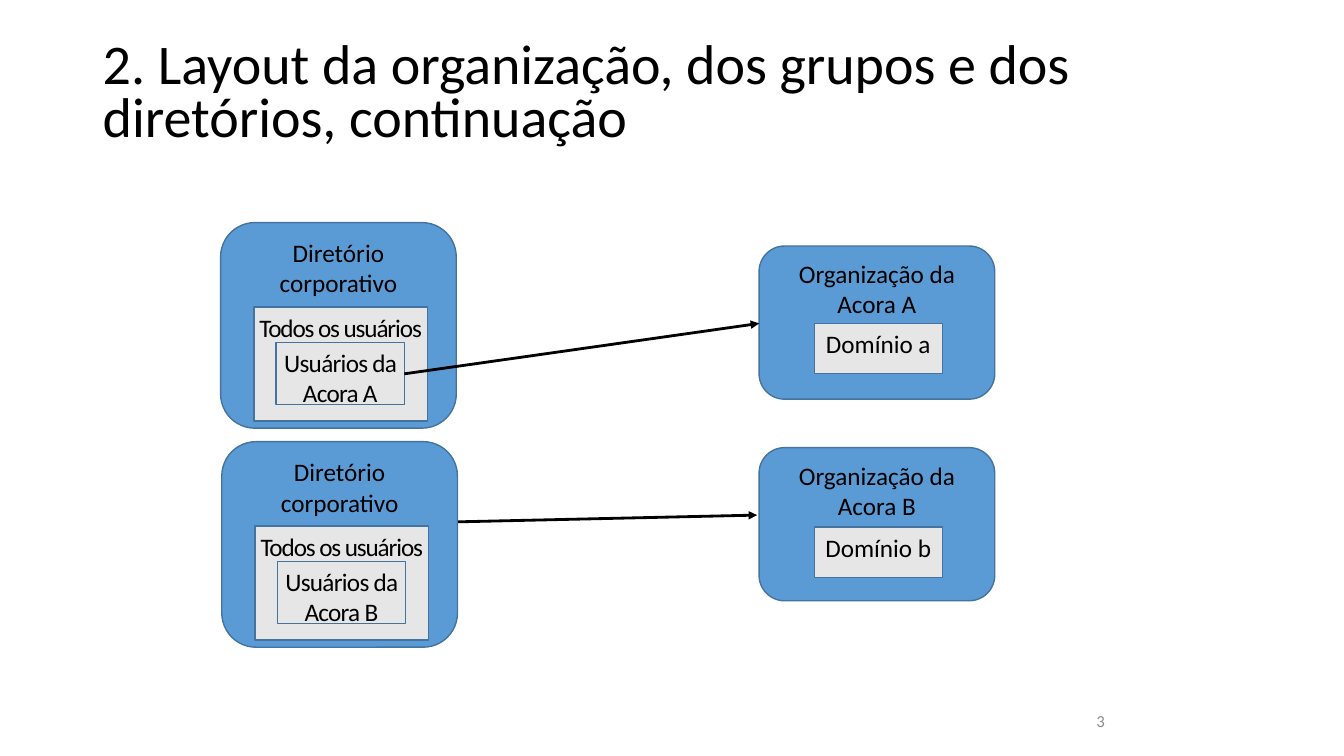
"""Build a slide that links two corporate directories to their organizations."""
from dataclasses import dataclass

from lxml import etree
from pptx import Presentation
from pptx.dml.color import RGBColor
from pptx.enum.shapes import MSO_CONNECTOR, MSO_SHAPE
from pptx.enum.text import MSO_ANCHOR, PP_ALIGN
from pptx.oxml.ns import qn
from pptx.util import Cm, Pt

RECT = MSO_SHAPE.RECTANGLE
ROUNDED = MSO_SHAPE.ROUNDED_RECTANGLE
STRAIGHT = MSO_CONNECTOR.STRAIGHT
CENTER, LEFT = PP_ALIGN.CENTER, PP_ALIGN.LEFT
TOP, MIDDLE = MSO_ANCHOR.TOP, MSO_ANCHOR.MIDDLE


@dataclass(frozen=True)
class Theme:
    font: str = "Calibri"
    blue: RGBColor = RGBColor(0x5B, 0x9B, 0xD5)
    outline: RGBColor = RGBColor(0x43, 0x73, 0x9E)
    pale: RGBColor = RGBColor(0xE7, 0xE6, 0xE6)
    ink: RGBColor = RGBColor(0, 0, 0)
    muted: RGBColor = RGBColor(0x8C, 0x8C, 0x8C)
    title: Pt = Pt(40)
    body: Pt = Pt(18)
    footer: Pt = Pt(12)


theme = Theme()
prs = Presentation()
prs.slide_width, prs.slide_height = Cm(33.87), Cm(19.05)
slide = prs.slides.add_slide(prs.slide_layouts[6])


def write(sp, text, size=theme.body, color=theme.ink, align=CENTER, anchor=TOP):
    tf = sp.text_frame
    tf.word_wrap = True
    tf.vertical_anchor = anchor
    tf.text = text
    p = tf.paragraphs[0]
    p.alignment = align
    r = p.runs[0]
    r.font.name, r.font.size = theme.font, size
    r.font.color.rgb = color
    return p


def add_box(kind, fill, left, top, width, height, text, tracking=0):
    sp = slide.shapes.add_shape(kind, Cm(left), Cm(top), Cm(width), Cm(height))
    sp.shadow.inherit = False
    sp.fill.solid()
    sp.fill.fore_color.rgb = fill
    sp.line.color.rgb = theme.outline
    sp.line.width = Pt(1)
    p = write(sp, text)
    if tracking:
        tf = sp.text_frame
        tf.margin_left = tf.margin_right = Cm(0.13)
        p.runs[0].font._element.set("spc", str(tracking))


arrows = {
    "A": (10.19, 9.42, 19.13, 8.15),
    "B": (10.19, 13.18, 19.08, 12.98),
}
groups = [
    ("B", 5.59, 11.13, 11.28, 13.28),
    ("A", 5.56, 5.61, 6.2, 8.15),
]

for name, left, top, org_top, domain_top in groups:
    directory = [
        (ROUNDED, theme.blue, left, top, 5.94, 5.18, "Diretório corporativo"),
        (RECT, theme.pale, left + 0.84, top + 2.13, 4.37, 2.87, "Todos os usuários", -80),
        (RECT, theme.pale, left + 1.4, top + 3.02, 3.23, 1.57, f"Usuários da Acora {name}", -50),
    ]
    organization = [
        (ROUNDED, theme.blue, 19.13, org_top, 5.94, 3.86, f"Organização da Acora {name}"),
        (RECT, theme.pale, 20.52, domain_top, 3.23, 1.27, f"Domínio {name.lower()}"),
    ]
    if name == "A":
        for box in directory + organization:
            add_box(*box)

    arrow = slide.shapes.add_connector(STRAIGHT, *map(Cm, arrows[name]))
    arrow.line.color.rgb = theme.ink
    arrow.line.width = Pt(2)
    etree.SubElement(arrow.line._get_or_add_ln(), qn("a:tailEnd"), type="triangle")
    etree.SubElement(arrow._element.spPr, qn("a:effectLst"))

    if name == "B":
        for box in directory + organization:
            add_box(*box)

title = slide.shapes.add_textbox(Cm(2.34), Cm(1.02), Cm(29.21), Cm(2.74))
p = write(title, "2. Layout da organização, dos grupos e dos diretórios, continuação",
          theme.title, align=LEFT, anchor=MIDDLE)
p.line_spacing = 0.8

number = slide.shapes.add_textbox(Cm(23.93), Cm(17.65), Cm(7.62), Cm(1.02))
write(number, "3", theme.footer, theme.muted, anchor=MIDDLE)

prs.save("out.pptx")
